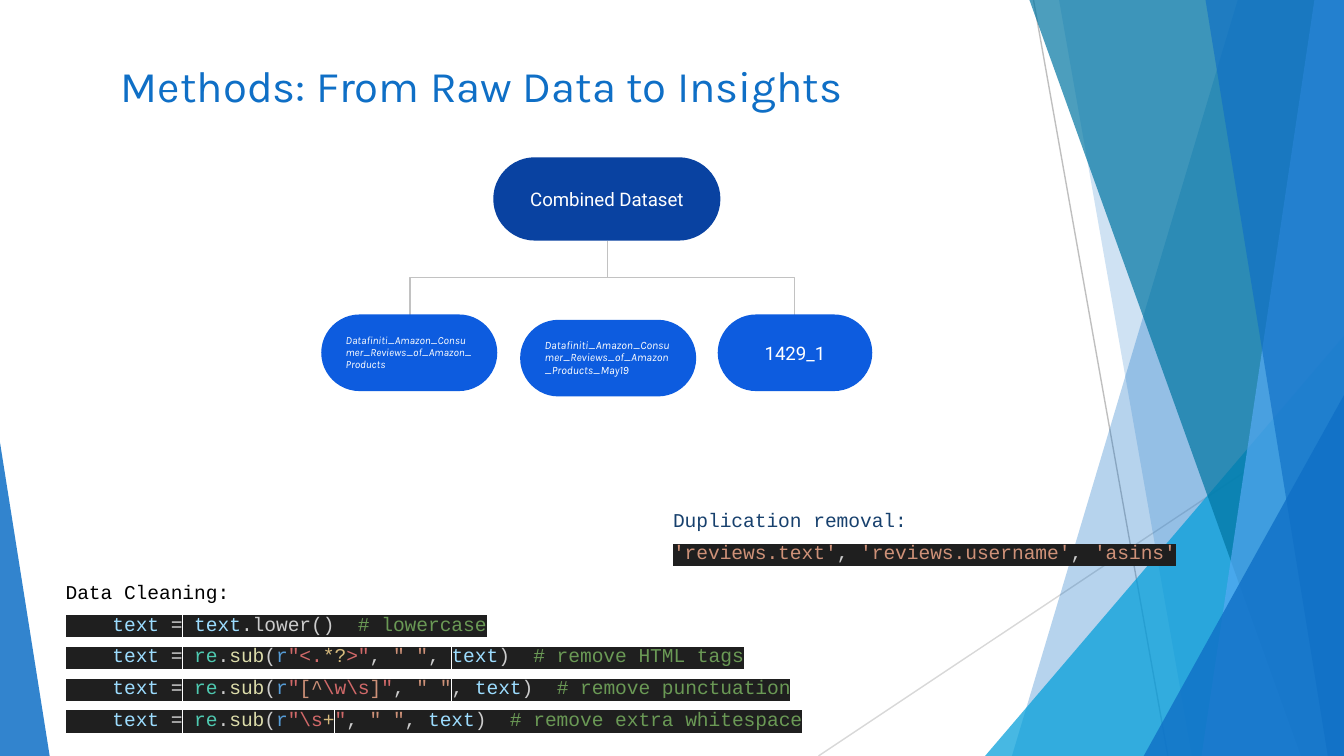
"""Build the methods slide: dataset tree, cleaning code and duplicate removal."""
from lxml import etree
from pptx import Presentation
from pptx.dml.color import RGBColor
from pptx.enum.shapes import MSO_CONNECTOR, MSO_SHAPE
from pptx.enum.text import MSO_ANCHOR, PP_ALIGN
from pptx.oxml.ns import qn
from pptx.util import Inches, Pt

STRAIGHT, ELBOW = MSO_CONNECTOR.STRAIGHT, MSO_CONNECTOR.ELBOW
TRIANGLE, PILL = MSO_SHAPE.ISOSCELES_TRIANGLE, MSO_SHAPE.ROUNDED_RECTANGLE
LEFT, CENTER = PP_ALIGN.LEFT, PP_ALIGN.CENTER
TOP, MIDDLE = MSO_ANCHOR.TOP, MSO_ANCHOR.MIDDLE
WIDTH, HEIGHT = 10, 10 * 9 / 16
BLUE, WHITE, CODE_BACK = "0F6FC6", "FFFFFF", "1F1F1F"
PLAIN, EQUALS, VARIABLE, COMMENT = "CCCCCC", "D4D4D4", "9CDCFE", "6A9955"
MODULE, FUNCTION, PREFIX = "4EC9B0", "DCDCAA", "569CD6"
STRING, REGEX, QUANTIFIER = "CE9178", "D16969", "D7BA7D"


def paint(fill, color, opacity=100):
    fill.solid()
    fill.fore_color.rgb = RGBColor.from_string(color)
    if opacity < 100:
        solid = fill.fore_color._xFill
        etree.SubElement(solid[0], qn("a:alpha"), val=str(opacity * 1000))


def write(paragraph, runs, highlight=None, **font_format):
    for text, color in runs:
        run = paragraph.add_run()
        run.text = text
        paint(run.font.fill, color)
        if highlight:
            mark = etree.SubElement(run.font._element, qn("a:highlight"))
            etree.SubElement(mark, qn("a:srgbClr"), val=highlight)
        for name, value in font_format.items():
            setattr(run.font, name, value)


deck = Presentation()
deck.slide_width, deck.slide_height = Inches(WIDTH), Inches(HEIGHT)
slide = deck.slides.add_slide(deck.slide_layouts[5])
shapes = slide.shapes

lines = [
    (STRAIGHT, 7.69, 0, 8.69, HEIGHT, "BFBFBF"),
    (STRAIGHT, WIDTH, 3.02, 6.09, HEIGHT, "D8D8D8"),
    (ELBOW, 5.49, 1.37, 4.94, 2.76, "C2C2C2"),
    (ELBOW, 3.51, 1.33, 4.06, 2.8, "C2C2C2"),
]
for kind, x1, y1, x2, y2, color in lines:
    line = shapes.add_connector(kind, Inches(x1), Inches(y1), Inches(x2), Inches(y2))
    paint(line.line.fill, color)
    line.line.width = Pt(0.75)
    etree.SubElement(line._element.spPr, qn("a:effectLst"))
    if kind == ELBOW:
        line._element.spPr.find(qn("a:xfrm")).set("rot", str(270 * 60000))

bands = [
    ("strip", (9.21, 7.53), BLUE, 30),
    ("strip", (7.88, 8.87), BLUE, 20),
    ("corner", (7.33, 2.5, 2.67, 1), "009DD9", 72),
    ("strip", (7.66, 9.68), "0075A2", 70),
    ("strip", (9.78, 8.94), "56A9F3", 70),
    ("strip", (8.97, 9.88), BLUE, 65),
    ("corner", (8.51, 2.94, 1.49, 1), BLUE, 80),
    ("corner", (0, 3.29, 0.37, 0), BLUE, 85),
]
for kind, place, color, opacity in bands:
    if kind == "strip":
        top_x, bottom_x = place
        outline = shapes.build_freeform(Inches(top_x), 0)
        outline.add_line_segments([
            (Inches(WIDTH), 0),
            (Inches(WIDTH), Inches(HEIGHT)),
            (Inches(bottom_x), Inches(HEIGHT)),
        ])
        band = outline.convert_to_shape()
    else:
        x, y, width, apex = place
        band = shapes.add_shape(TRIANGLE, Inches(x), Inches(y), Inches(width), Inches(HEIGHT - y))
        band.adjustments[0] = apex
    paint(band.fill, color, opacity)
    band.line.fill.background()
    band.shadow.inherit = False

title = shapes.title
title_box = {"left": 0.8, "top": 0.28, "width": 8.41, "height": 0.59}
for name, value in title_box.items():
    setattr(title, name, Inches(value))
title.text_frame.vertical_anchor = TOP
title.text_frame.margin_top = Inches(0.1)
heading = title.text_frame.paragraphs[0]
heading.alignment, heading.line_spacing = LEFT, 1.15
write(heading, [("Methods: From Raw Data to Insights", BLUE)], size=Pt(23.4), name="Karla")

label = {"size": Pt(10), "name": "Roboto"}
file_label = {"name": "Karla", "italic": True}
datasets = [
    ("Combined Dataset", 3.67, 1.17, 1.69, 0.62, "0942A1", CENTER, label),
    ("1429_1", 5.34, 2.34, 1.15, 0.57, "0D5CDF", CENTER, label),
    ("Datafiniti_Amazon_Consumer_Reviews_of_Amazon_Products",
     2.39, 2.34, 1.31, 0.57, "0D5CDF", LEFT, {"size": Pt(5.8), **file_label}),
    ("Datafiniti_Amazon_Consumer_Reviews_of_Amazon_Products_May19",
     3.87, 2.38, 1.31, 0.57, "0D5CDF", LEFT, {"size": Pt(6), **file_label}),
]
for text, x, y, width, height, color, alignment, font_format in datasets:
    dataset = shapes.add_shape(PILL, Inches(x), Inches(y), Inches(width), Inches(height))
    dataset.adjustments[0] = 0.5
    paint(dataset.fill, color)
    dataset.line.fill.background()
    dataset.shadow.inherit = False
    frame = dataset.text_frame
    frame.word_wrap, frame.vertical_anchor = True, MIDDLE
    for side in ("left", "right", "top", "bottom"):
        setattr(frame, f"margin_{side}", Inches(0.1))
    paragraph = frame.paragraphs[0]
    paragraph.alignment = alignment
    paragraph.line_spacing = 0.95 if alignment == LEFT else 1
    write(paragraph, [(text, WHITE)], **font_format)

assignment = [("    ", PLAIN), ("text", VARIABLE), (" ", PLAIN), ("=", EQUALS), (" ", PLAIN)]
substitutions = [
    ([('"<.', REGEX), ("*?", QUANTIFIER), ('>"', REGEX)], "# remove HTML tags"),
    ([('"', REGEX), ("[^", STRING), (r"\w\s", REGEX), ("]", STRING), ('"', REGEX)],
     "# remove punctuation"),
    ([(r'"\s', REGEX), ("+", QUANTIFIER), ('"', REGEX)], "# remove extra whitespace"),
]
cleaning = [assignment + [("text", VARIABLE), (".lower()  ", PLAIN), ("# lowercase", COMMENT)]]
for pattern, comment in substitutions:
    cleaning.append(
        assignment
        + [("re", MODULE), (".", PLAIN), ("sub", FUNCTION), ("(", PLAIN), ("r", PREFIX)]
        + pattern
        + [(", ", PLAIN), ('" "', STRING), (", ", PLAIN), ("text", VARIABLE),
           (")  ", PLAIN), (comment, COMMENT)]
    )
duplicate_keys = [
    ("'reviews.text'", STRING), (", ", PLAIN), ("'reviews.username'", STRING),
    (", ", PLAIN), ("'asins'", STRING),
]
steps = [
    ("Data Cleaning:", "000000", cleaning, 0.39, 4.15, 6.74, 1.34),
    ("Duplication removal:", "17406D", [duplicate_keys], 4.91, 3.62, 4.36, 0.62),
]
for caption, color, code, x, y, width, height in steps:
    step = shapes.add_textbox(Inches(x), Inches(y), Inches(width), Inches(height))
    frame = step.text_frame
    frame.word_wrap = True
    for side in ("left", "right", "top", "bottom"):
        setattr(frame, f"margin_{side}", Inches(0.1))
    for number, runs in enumerate([[(caption, color)]] + code):
        paragraph = frame.add_paragraph() if number else frame.paragraphs[0]
        paragraph.line_spacing = 1.36
        write(paragraph, runs, CODE_BACK if number else None, size=Pt(10.5), name="Courier New")

deck.save("out.pptx")
